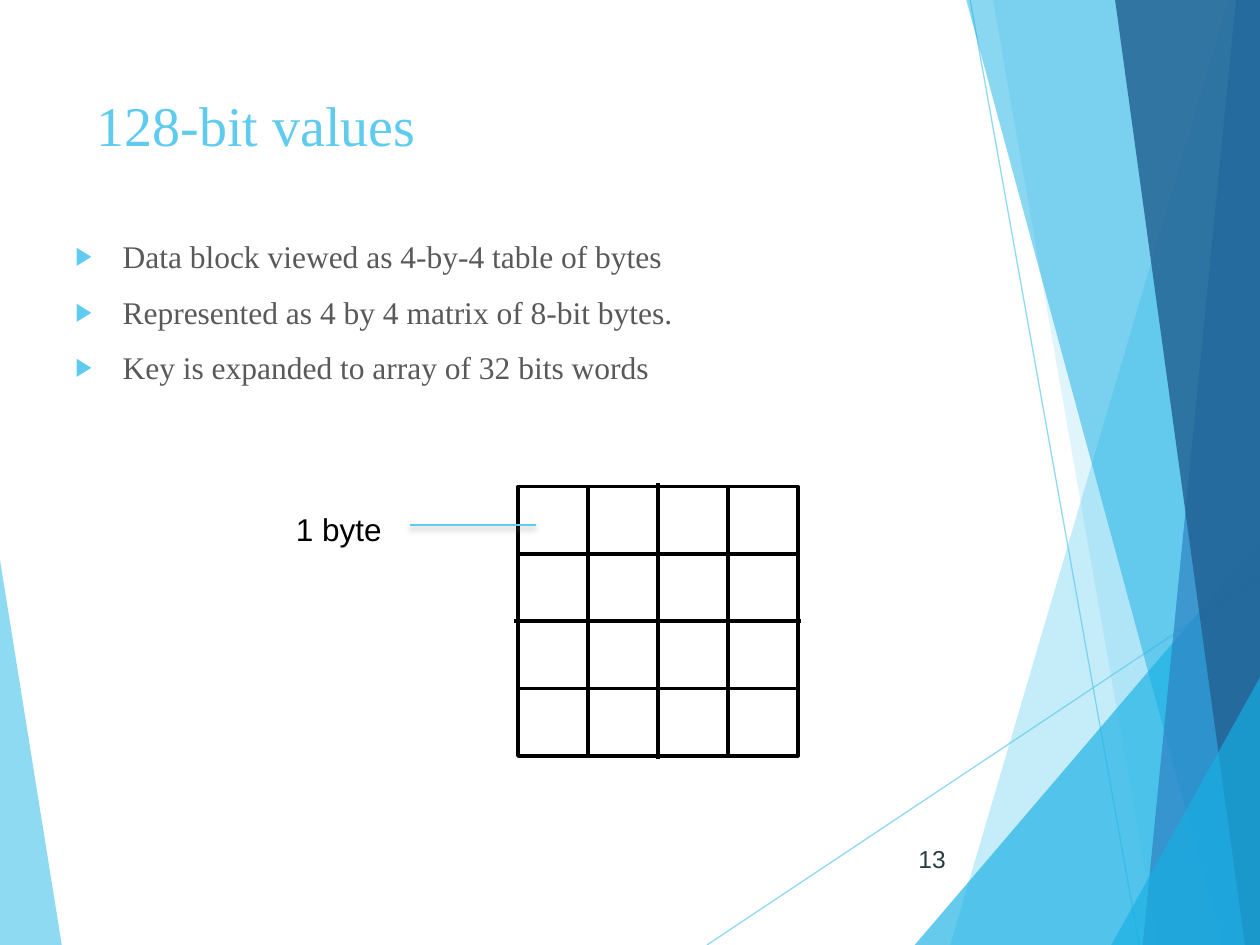
from dataclasses import dataclass
from typing import Optional

from lxml.etree import SubElement
from pptx import Presentation
from pptx.dml.color import RGBColor
from pptx.enum.shapes import MSO_CONNECTOR as Connector, MSO_SHAPE as Preset
from pptx.enum.text import MSO_ANCHOR as Anchor, PP_ALIGN as Align
from pptx.oxml.ns import qn
from pptx.util import Pt

WIDTH, HEIGHT = 720, 540


@dataclass(frozen=True)
class Theme:
    sky: str = "5FCBEF"
    cyan: str = "17B0E4"
    blue: str = "2E83C3"
    navy: str = "226292"
    white: str = "FFFFFF"
    black: str = "000000"
    body: str = "595959"
    number: str = "2C3C43"
    shadow: str = "808080"
    serif: str = "Times New Roman"
    sans: str = "Arial"
    title_size: int = 32
    text_size: int = 18
    number_size: int = 14


THEME = Theme()


@dataclass(frozen=True)
class Facet:
    points: tuple
    color: str
    opacity: int


@dataclass(frozen=True)
class Ray:
    start: tuple
    end: tuple
    color: str
    width: float
    opacity: int = 100


@dataclass(frozen=True)
class Style:
    font: str
    size: int
    color: str


def right_facet(top: float, bottom: float, color: str, opacity: int) -> Facet:
    """Full-height facet whose left edge runs from top to bottom."""
    points = ((top, 0), (bottom, HEIGHT), (WIDTH, HEIGHT), (WIDTH, 0))
    return Facet(points, color, opacity)


def corner_facet(left: float, top: float) -> Facet:
    points = ((left, HEIGHT), (WIDTH, top), (WIDTH, HEIGHT))
    return Facet(points, THEME.cyan, 66)


LEFT_FACET = Facet(((0, 320), (35.3, HEIGHT), (0, HEIGHT)), THEME.sky, 70)
RAYS = (
    Ray((404, HEIGHT), (WIDTH, 329.5), THEME.sky, 0.75, 70),
    Ray((554.4, 0), (651, HEIGHT), THEME.sky, 0.75, 70),
)
RIGHT_FACETS = (
    right_facet(702, 543, THEME.sky, 36),
    right_facet(567.4, 661.7, THEME.sky, 20),
    corner_facet(522.7, 309),
    right_facet(552.2, 698.4, THEME.cyan, 50),
    right_facet(706.3, 653, THEME.blue, 70),
    right_facet(637.2, 711.4, THEME.navy, 82),
    corner_facet(635, 387),
)
BULLETS = (
    "Data block viewed as 4-by-4 table of bytes",
    "Represented as 4 by 4 matrix of 8-bit bytes.",
    "Key is expanded to array of 32 bits words",
)


def rgb(color: str) -> RGBColor:
    return RGBColor.from_string(color)


def set_opacity(fill_parent, opacity: int) -> None:
    color = fill_parent.find(qn("a:solidFill"))[0]
    SubElement(color, qn("a:alpha")).set("val", str(opacity * 1000))


def draw_facet(shapes, facet: Facet) -> None:
    points = [(Pt(x), Pt(y)) for x, y in facet.points]
    builder = shapes.build_freeform(*points[0], scale=1.0)
    builder.add_line_segments(points[1:], close=True)
    shape = builder.convert_to_shape()
    shape.shadow.inherit = False
    shape.fill.solid()
    shape.fill.fore_color.rgb = rgb(facet.color)
    shape.line.fill.background()
    set_opacity(shape._element.spPr, facet.opacity)


def draw_ray(shapes, ray: Ray):
    """Draw the line and return its empty effect list."""
    ends = [Pt(value) for value in (*ray.start, *ray.end)]
    connector = shapes.add_connector(Connector.STRAIGHT, *ends)
    connector.line.color.rgb = rgb(ray.color)
    connector.line.width = Pt(ray.width)
    properties = connector._element.spPr
    if ray.opacity < 100:
        set_opacity(properties.find(qn("a:ln")), ray.opacity)
    return SubElement(properties, qn("a:effectLst"))


def add_shadow(effects) -> None:
    shadow = SubElement(effects, qn("a:outerShdw"), blurRad=str(Pt(3)),
                        dist=str(Pt(2)), dir="5400000", rotWithShape="0")
    color = SubElement(shadow, qn("a:srgbClr"), val=THEME.shadow)
    SubElement(color, qn("a:alpha"), val="40000")


def place(shape, left: float, top: float, width: float, height: float) -> None:
    shape.left, shape.top = Pt(left), Pt(top)
    shape.width, shape.height = Pt(width), Pt(height)


def write(paragraph, text: str, style: Style, align: Align = Align.LEFT) -> None:
    paragraph.text = text
    paragraph.alignment = align
    for run in paragraph.runs:
        run.font.name = style.font
        run.font.size = Pt(style.size)
        run.font.color.rgb = rgb(style.color)


def add_bullet(paragraph) -> None:
    properties = paragraph._p.get_or_add_pPr()
    properties.set("marL", str(Pt(27)))
    properties.set("indent", str(Pt(-27)))
    color = SubElement(properties, qn("a:buClr"))
    SubElement(color, qn("a:srgbClr"), val=THEME.sky)
    SubElement(properties, qn("a:buSzPct"), val="80000")
    SubElement(properties, qn("a:buFont"), typeface=THEME.sans)
    SubElement(properties, qn("a:buChar"), char="▶")


def draw_frame(shapes, left: float, top: float, width: float, height: float,
               fill: Optional[str]) -> None:
    shape = shapes.add_shape(Preset.RECTANGLE, Pt(left), Pt(top), Pt(width), Pt(height))
    shape.shadow.inherit = False
    if fill:
        shape.fill.solid()
        shape.fill.fore_color.rgb = rgb(fill)
    else:
        shape.fill.background()
    shape.line.color.rgb = rgb(THEME.black)
    shape.line.width = Pt(2)


def draw_byte_grid(slide, left: float, top: float, column: float, row: float) -> None:
    """Four-by-four grid made of nested frames and two centre lines."""
    shapes = slide.shapes.add_group_shape().shapes
    width, height, overhang = 4 * column, 4 * row, 2
    middle_x, middle_y = left + width / 2, top + height / 2
    draw_frame(shapes, left, top, width, height, THEME.white)
    draw_frame(shapes, left + column, top, 2 * column, height, THEME.white)
    draw_ray(shapes, Ray((middle_x, top - overhang), (middle_x, top + height + overhang),
                         THEME.black, 2))
    draw_frame(shapes, left, top + row, width, 2 * row, None)
    draw_ray(shapes, Ray((left - overhang, middle_y), (left + width + overhang, middle_y),
                         THEME.black, 2))


def main() -> None:
    presentation = Presentation()
    presentation.slide_width, presentation.slide_height = Pt(WIDTH), Pt(HEIGHT)
    slide = presentation.slides.add_slide(presentation.slide_layouts[5])
    shapes = slide.shapes

    draw_facet(shapes, LEFT_FACET)
    for ray in RAYS:
        draw_ray(shapes, ray)
    for facet in RIGHT_FACETS:
        draw_facet(shapes, facet)

    title = shapes.title
    shapes._spTree.append(title._element)  # in front of the facets
    place(title, 48, 48, 500, 104)
    title.text_frame.vertical_anchor = Anchor.TOP
    write(title.text_frame.paragraphs[0], "128-bit values",
          Style(THEME.serif, THEME.title_size, THEME.sky))

    body = shapes.add_textbox(Pt(36), Pt(132), Pt(648), Pt(192)).text_frame
    body.word_wrap = True
    for index, text in enumerate(BULLETS):
        paragraph = body.add_paragraph() if index else body.paragraphs[0]
        write(paragraph, text, Style(THEME.serif, THEME.text_size, THEME.body))
        paragraph.space_before = Pt(10)
        add_bullet(paragraph)

    number = shapes.add_textbox(Pt(507.5), Pt(476), Pt(40), Pt(29)).text_frame
    number.word_wrap = True
    number.vertical_anchor = Anchor.MIDDLE
    write(number.paragraphs[0], "13",
          Style(THEME.sans, THEME.number_size, THEME.number), Align.RIGHT)

    draw_byte_grid(slide, 296, 278, 40, 38.5)
    label = shapes.add_textbox(Pt(162), Pt(288), Pt(64), Pt(29)).text_frame
    label.word_wrap = False
    write(label.paragraphs[0], "1 byte", Style(THEME.sans, THEME.text_size, THEME.black))
    add_shadow(draw_ray(shapes, Ray((234, 300), (306, 300), THEME.sky, 1.5)))

    presentation.save("out.pptx")


if __name__ == "__main__":
    main()
